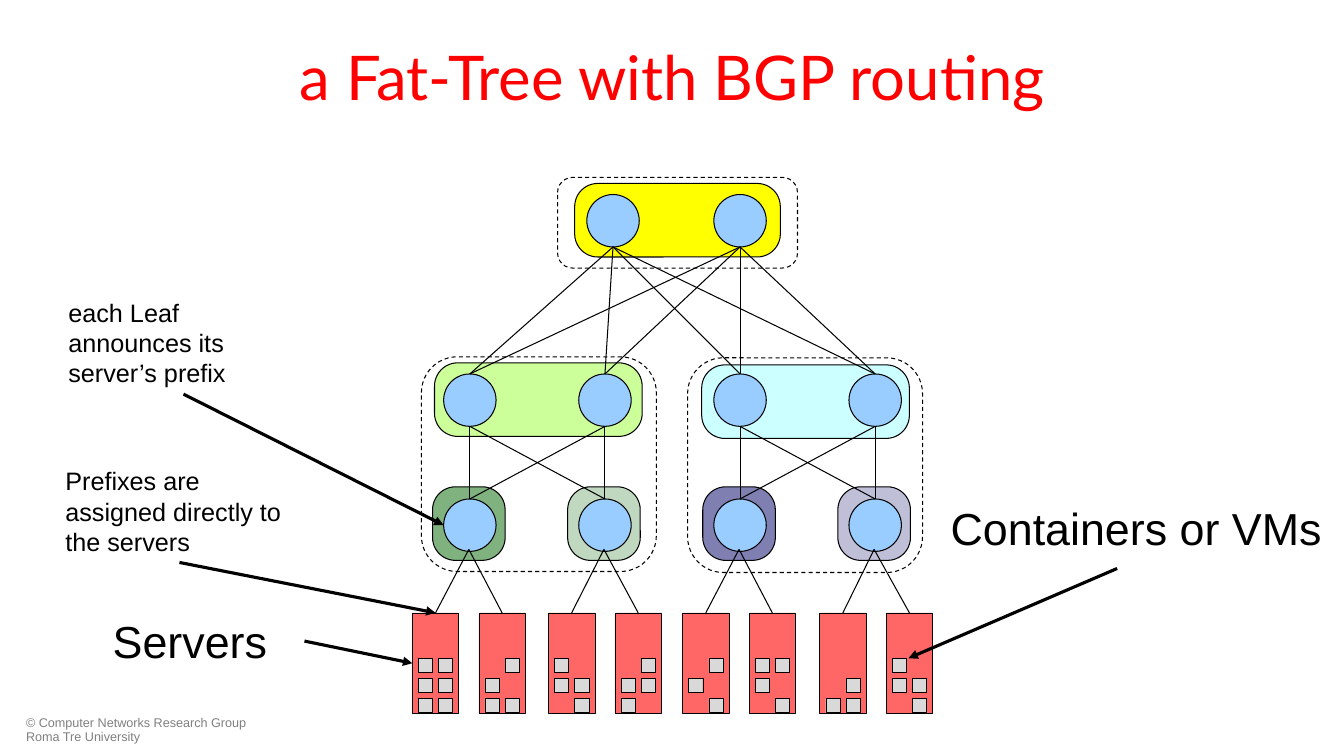
from dataclasses import dataclass
from itertools import product

from lxml.etree import SubElement
from pptx import Presentation
from pptx.dml.color import RGBColor
from pptx.enum.dml import MSO_LINE_DASH_STYLE as Dash
from pptx.enum.shapes import MSO_CONNECTOR, MSO_SHAPE as Preset
from pptx.enum.text import MSO_ANCHOR, PP_ALIGN
from pptx.oxml.ns import qn
from pptx.util import Inches, Pt


@dataclass(frozen=True)
class Theme:
    title_font: str = "Lato"
    body_font: str = "Arial"
    title_color: str = "FF0000"
    ink: str = "000000"
    muted: str = "808080"
    node: str = "99CCFF"
    server: str = "FF6666"
    container: str = "D9D9D9"
    title_size: int = 44
    label_size: int = 32
    note_size: int = 18
    footer_size: int = 9
    thin: float = 0.25
    line: float = 0.75
    arrow: float = 2.25


THEME = Theme()

TITLE = "a Fat-Tree with BGP routing"
FOOTER = "© Computer Networks Research Group Roma Tre University"
# text, (left, top, width, height), size
LABELS = [
    ("Servers", (1.02, 6.04, 2, 0.64), THEME.label_size),
    ("Containers or VMs", (9.33, 4.92, 4, 0.64), THEME.label_size),
    ("Prefixes are assigned directly to the servers", (0.55, 4.57, 2.47, 1.01), THEME.note_size),
    ("each Leaf announces its server’s prefix", (0.58, 2.9, 2.47, 1.01), THEME.note_size),
]

# box, fill, share of opacity in percent
BANDS = [
    ((5.7, 1.82, 2.04, 0.73), "FFFF00", 100),
    ((4.31, 3.6, 2.06, 0.73), "CCFF99", 100),
    ((6.96, 3.62, 2.06, 0.73), "CCFFFF", 100),
]
LEAF_BANDS = [("006600", 50), ("006600", 25), ("000066", 50), ("000066", 25)]
PODS = [(4.18, 3.54, 2.33, 2.13), (6.82, 3.55, 2.33, 2.13), (5.53, 1.76, 2.38, 0.9)]

COLUMNS = [4.66 + 1.34 * i for i in range(4)]
SPINE_COLUMNS = [6.08, 7.34]
SPINE_TOP, AGGREGATION_TOP, LEAF_TOP = 1.93, 3.71, 4.95
NODE_SIZE = 0.52
BAND_ROUNDING = 0.315

SERVER_PAIR_LEFTS = [4.09, 5.44, 6.77, 8.13]
SERVER_STEP, SERVER_TOP, SERVER_WIDTH, SERVER_HEIGHT = 0.66, 6.08, 0.46, 1
SERVER_LINK_TOP = 5.45
# one entry per server, rows from top to bottom, # marks a container
CONTAINERS = [
    ("##", "##", "##"), (".#", "#.", "##"),
    ("#.", "##", ".#"), (".#", "##", "#."),
    (".#", "#.", ".#"), ("##", "#.", ".#"),
    ("..", ".#", "##"), ("#.", "##", ".#"),
]
CONTAINER_SIZE, CONTAINER_INSET, CONTAINER_TOP, CONTAINER_STEP = 0.14, 0.06, 6.53, 0.2


def rgb(color):
    return RGBColor.from_string(color)


def write(frame, text, size, color=THEME.ink, font=THEME.body_font,
          align=PP_ALIGN.LEFT, anchor=MSO_ANCHOR.TOP, spacing=None):
    frame.word_wrap = True
    frame.vertical_anchor = anchor
    paragraph = frame.paragraphs[0]
    paragraph.alignment = align
    paragraph.line_spacing = spacing
    run = paragraph.add_run()
    run.text = text
    run.font.size = Pt(size)
    run.font.name = font
    run.font.color.rgb = rgb(color)


def add_label(slide, text, box, size, **style):
    write(slide.shapes.add_textbox(*map(Inches, box)).text_frame, text, size, **style)


def add_figure(slide, preset, box, fill=None, width=THEME.line,
               opacity=100, rounding=None, dash=None):
    shape = slide.shapes.add_shape(preset, *map(Inches, box))
    shape.shadow.inherit = False
    shape.line.color.rgb = rgb(THEME.ink)
    shape.line.width = Pt(width)
    if dash:
        shape.line.dash_style = dash
    if rounding:
        shape.adjustments[0] = rounding
    if fill:
        shape.fill.solid()
        shape.fill.fore_color.rgb = rgb(fill)
    else:
        shape.fill.background()
    if opacity < 100:
        color = shape.fill._xPr.find(".//" + qn("a:srgbClr"))
        SubElement(color, qn("a:alpha"), val=str(opacity * 1000))
    return shape


def add_link(slide, start, end=None, target=None, width=THEME.line, arrow=False):
    """Draw a line to the point end, or to target, a (shape, site) pair."""
    points = map(Inches, (*start, *(end or start)))
    connector = slide.shapes.add_connector(MSO_CONNECTOR.STRAIGHT, *points)
    if target:
        connector.end_connect(*target)
    connector.line.color.rgb = rgb(THEME.ink)
    connector.line.width = Pt(width)
    if arrow:
        SubElement(connector.line._get_or_add_ln(), qn("a:tailEnd"), type="triangle")
    SubElement(connector._element.spPr, qn("a:effectLst"))


def add_nodes(slide, columns, top):
    for center in columns:
        box = (center - NODE_SIZE / 2, top, NODE_SIZE, NODE_SIZE)
        add_figure(slide, Preset.OVAL, box, THEME.node)


def add_mesh(slide, upper, upper_top, lower, lower_top):
    """Link every upper node to every lower node."""
    for above, below in product(upper, lower):
        add_link(slide, (above, upper_top + NODE_SIZE), (below, lower_top))


def add_fat_tree(slide):
    leaf_bands = [((center - 0.37, 4.83, 0.72, 0.73), *paint)
                  for center, paint in zip(COLUMNS, LEAF_BANDS)]
    for box, fill, opacity in BANDS + leaf_bands:
        add_figure(slide, Preset.ROUNDED_RECTANGLE, box, fill,
                   opacity=opacity, rounding=BAND_ROUNDING)
    add_nodes(slide, SPINE_COLUMNS, SPINE_TOP)
    add_nodes(slide, COLUMNS, AGGREGATION_TOP)
    add_nodes(slide, COLUMNS, LEAF_TOP)
    add_mesh(slide, SPINE_COLUMNS, SPINE_TOP, COLUMNS, AGGREGATION_TOP)
    for pair in (COLUMNS[:2], COLUMNS[2:]):
        add_mesh(slide, pair, AGGREGATION_TOP, pair, LEAF_TOP)
    for box in PODS:
        add_figure(slide, Preset.ROUNDED_RECTANGLE, box, dash=Dash.DASH)


def add_servers(slide):
    servers = []
    for index, rows in enumerate(CONTAINERS):
        pair, side = divmod(index, 2)
        left = SERVER_PAIR_LEFTS[pair] + side * SERVER_STEP
        server = add_figure(slide, Preset.RECTANGLE,
                            (left, SERVER_TOP, SERVER_WIDTH, SERVER_HEIGHT),
                            THEME.server, THEME.thin)
        add_link(slide, (COLUMNS[pair] - 0.01, SERVER_LINK_TOP), target=(server, 0))
        for row, column in product(range(3), range(2)):
            if rows[row][column] == "#":
                box = (left + CONTAINER_INSET + column * CONTAINER_STEP,
                       CONTAINER_TOP + row * CONTAINER_STEP,
                       CONTAINER_SIZE, CONTAINER_SIZE)
                add_figure(slide, Preset.RECTANGLE, box, THEME.container, THEME.thin)
        servers.append(server)
    return servers


def main():
    presentation = Presentation()
    presentation.slide_width, presentation.slide_height = Inches(13.33), Inches(7.5)
    slide = presentation.slides.add_slide(presentation.slide_layouts[5])

    title = slide.shapes.title
    title.left, title.top, title.width, title.height = map(Inches, (0.67, 0.13, 12, 1.25))
    write(title.text_frame, TITLE, THEME.title_size, color=THEME.title_color,
          font=THEME.title_font, align=PP_ALIGN.CENTER, anchor=MSO_ANCHOR.MIDDLE)
    add_label(slide, FOOTER, (0.16, 7.06, 2.49, 0.36), THEME.footer_size,
              color=THEME.muted, spacing=0.9)

    add_fat_tree(slide)
    first_server = add_servers(slide)[0]
    for text, box, size in LABELS:
        add_label(slide, text, box, size)

    pointers = [
        ((3.02, 6.36), {"target": (first_server, 1)}),
        ((1.78, 5.58), {"target": (first_server, 0)}),
        ((1.82, 3.91), {"end": (COLUMNS[0] - NODE_SIZE / 2, LEAF_TOP + NODE_SIZE / 2)}),
        ((11.08, 5.64), {"end": (9.01, 6.53)}),
    ]
    for start, finish in pointers:
        add_link(slide, start, width=THEME.arrow, arrow=True, **finish)
    presentation.save("out.pptx")


if __name__ == "__main__":
    main()
